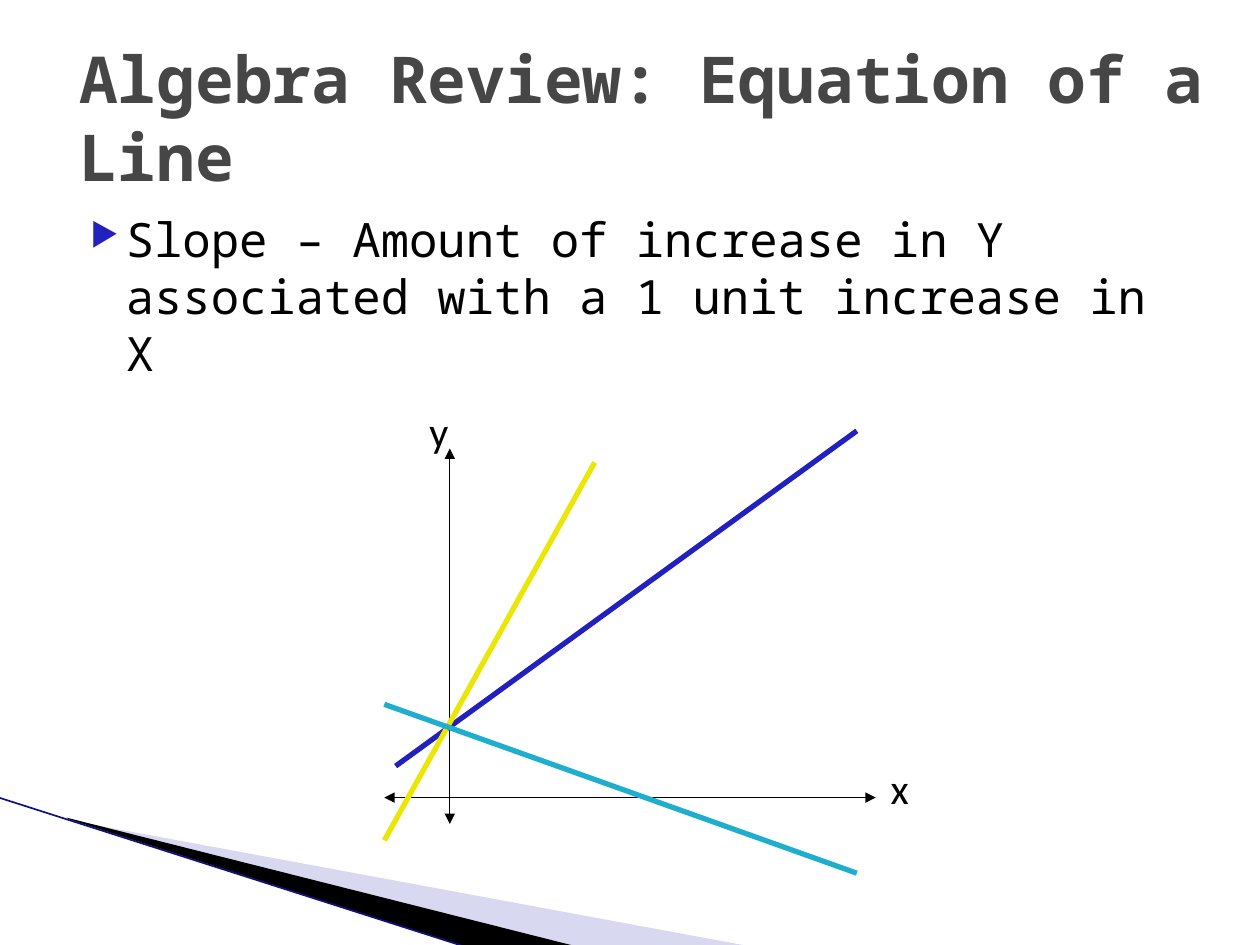
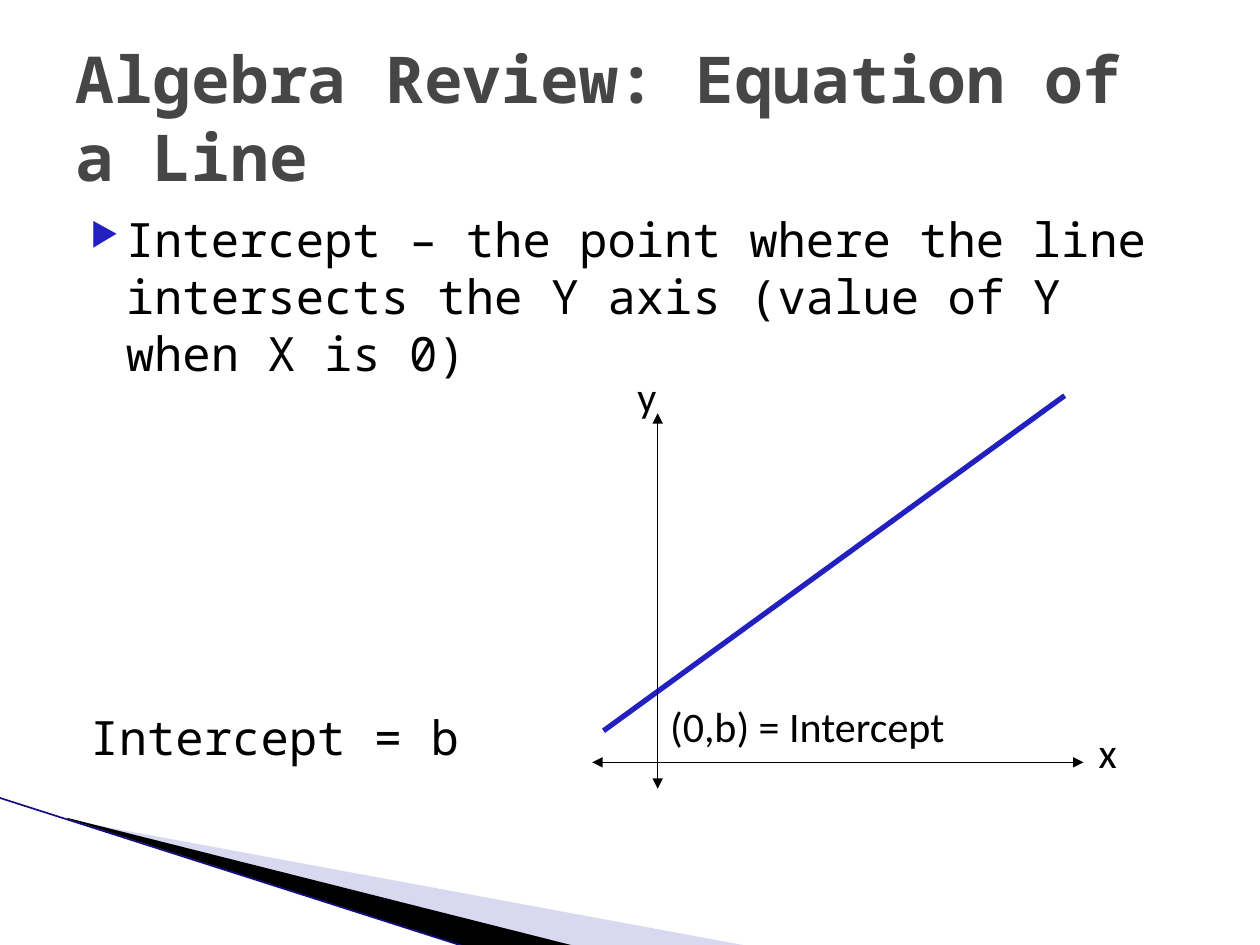
from dataclasses import dataclass

from lxml.etree import SubElement as Sub
from pptx import Presentation
from pptx.dml.color import RGBColor as Rgb
from pptx.enum.shapes import MSO_CONNECTOR as Conn
from pptx.enum.text import MSO_ANCHOR as Anchor
from pptx.oxml.ns import qn
from pptx.slide import Slide
from pptx.text.text import TextFrame, _Paragraph as Para
from pptx.util import Pt

PX = 9144  # EMU per px, 100 px to the inch
MONO, SANS = "Noto Sans Mono", "Calibri"
BLACK = Rgb(0x00, 0x00, 0x00)
GRAY = Rgb(0x46, 0x46, 0x46)
BLUE = Rgb(0x22, 0x21, 0xBF)
GOLD = Rgb(0xEB, 0xE6, 0x03)
TEAL = Rgb(0x1F, 0xAE, 0xCD)
LILAC = Rgb(0x9F, 0x9F, 0xDC)
NAVY = Rgb(0x12, 0x10, 0x80)
TITLE = "Algebra Review: Equation of a Line"

Point = tuple[int, int]


@dataclass(frozen=True)
class Style:
    font: str
    size: float
    color: Rgb = BLACK
    bold: bool = False


@dataclass(frozen=True)
class Line:
    start: Point
    end: Point
    color: Rgb = BLACK
    width: float = 3
    heads: bool = False


@dataclass(frozen=True)
class Label:
    text: str
    at: Point
    size: Point


@dataclass(frozen=True)
class Band:
    points: tuple[Point, ...]
    color: Rgb
    alpha: int = 100


HEAD = Style(MONO, 36.9, GRAY, True)
BODY = Style(MONO, 27)
NOTE = Style(SANS, 24)

# Corner decoration
BANDS = (
    Band(((55, 651), (595, 751), (456, 751), (55, 650)), LILAC, 40),
    Band(((53, 649), (457, 751), (372, 752), (54, 650)), BLACK),
)
EDGE = Line((-1, 633), (371, 752), NAVY, 0.95)

# Graph parts, measured from the origin of the axes
RISE = Line((-43, -25), (323, -291), BLUE)
STEEP = Line((-52, 34), (115, -266), GOLD)
FALL = Line((-52, -74), (323, 60), TEAL)
AXES = (
    Line((0, 21), (0, -277), width=0.75, heads=True),
    Line((-52, 0), (338, 0), width=0.75, heads=True),
)
NAMES = (Label("x", (340, -33), (52, 52)), Label("y", (-26, -316), (39, 52)))
CROSS = Label("(0,b) = Intercept", (0, -54), (260, 65))


def add_run(para: Para, text: str, style: Style) -> None:
    run = para.add_run()
    run.text = text
    font = run.font
    font.name, font.size, font.bold = style.font, Pt(style.size), style.bold
    font.color.rgb = style.color


def add_box(slide: Slide, at: Point, size: Point) -> TextFrame:
    frame = slide.shapes.add_textbox(*(v * PX for v in at + size)).text_frame
    frame.word_wrap = True
    return frame


def add_line(slide: Slide, line: Line, base: Point = (0, 0)) -> None:
    ends = [v + base[i % 2] for i, v in enumerate(line.start + line.end)]
    conn = slide.shapes.add_connector(Conn.STRAIGHT, *(v * PX for v in ends))
    conn.line.color.rgb = line.color
    conn.line.width = Pt(line.width)
    if line.heads:
        for tag in ("a:headEnd", "a:tailEnd"):
            Sub(conn.line._get_or_add_ln(), qn(tag), type="triangle")
    Sub(conn._element.spPr, qn("a:effectLst"))


def add_label(slide: Slide, label: Label, base: Point) -> None:
    at = (base[0] + label.at[0], base[1] + label.at[1])
    add_run(add_box(slide, at, label.size).paragraphs[0], label.text, NOTE)


def add_band(slide: Slide, band: Band) -> None:
    pen = slide.shapes.build_freeform(*band.points[0], scale=PX)
    pen.add_line_segments(band.points[1:], close=True)
    shape = pen.convert_to_shape()
    shape.shadow.inherit = False
    shape.fill.solid()
    shape.fill.fore_color.rgb = band.color
    shape.line.fill.background()
    if band.alpha < 100:
        tint = next(shape._element.spPr.iter(qn("a:srgbClr")))
        Sub(tint, qn("a:alpha"), val=str(band.alpha * 1000))


def set_bullet(para: Para) -> None:
    props = para._p.get_or_add_pPr()
    props.set("marL", str(40 * PX))
    props.set("indent", str(-28 * PX))
    Sub(Sub(props, qn("a:buClr")), qn("a:srgbClr"), val=str(BLUE))
    Sub(props, qn("a:buSzPct"), val="68000")
    Sub(props, qn("a:buChar"), char="▶")


def add_page(deck: Presentation, text: str, left: int, wide: int) -> tuple[Slide, TextFrame]:
    slide = deck.slides.add_slide(deck.slide_layouts[6])
    for band in BANDS:
        add_band(slide, band)
    add_line(slide, EDGE)
    body = add_box(slide, (50, 162), (900, 495))
    set_bullet(body.paragraphs[0])
    add_run(body.paragraphs[0], text, BODY)
    title = add_box(slide, (left, 30), (wide, 125))
    title.vertical_anchor = Anchor.MIDDLE
    add_run(title.paragraphs[0], TITLE, HEAD)
    return slide, body


def add_graph(slide: Slide, base: Point) -> None:
    for line in (RISE, *AXES):
        add_line(slide, line, base)
    for name in NAMES:
        add_label(slide, name, base)


def main() -> None:
    deck = Presentation()
    deck.slide_width, deck.slide_height = 1000 * PX, 750 * PX

    # Slope
    base = (357, 633)
    slide, _ = add_page(
        deck, "Slope – Amount of increase in Y associated with a 1 unit increase in X", 53, 927)
    add_graph(slide, base)
    for line in (STEEP, FALL):
        add_line(slide, line, base)

    # Intercept
    base = (522, 605)
    slide, body = add_page(
        deck, "Intercept – the point where the line intersects the Y axis (value of Y when X is 0)",
        50, 900)
    para = body.add_paragraph()
    para._p.get_or_add_pPr().set("marL", str(12 * PX))
    para.space_before = Pt(187)
    add_run(para, "Intercept = b", BODY)
    add_graph(slide, base)
    add_label(slide, CROSS, base)

    deck.save("out.pptx")


if __name__ == "__main__":
    main()
